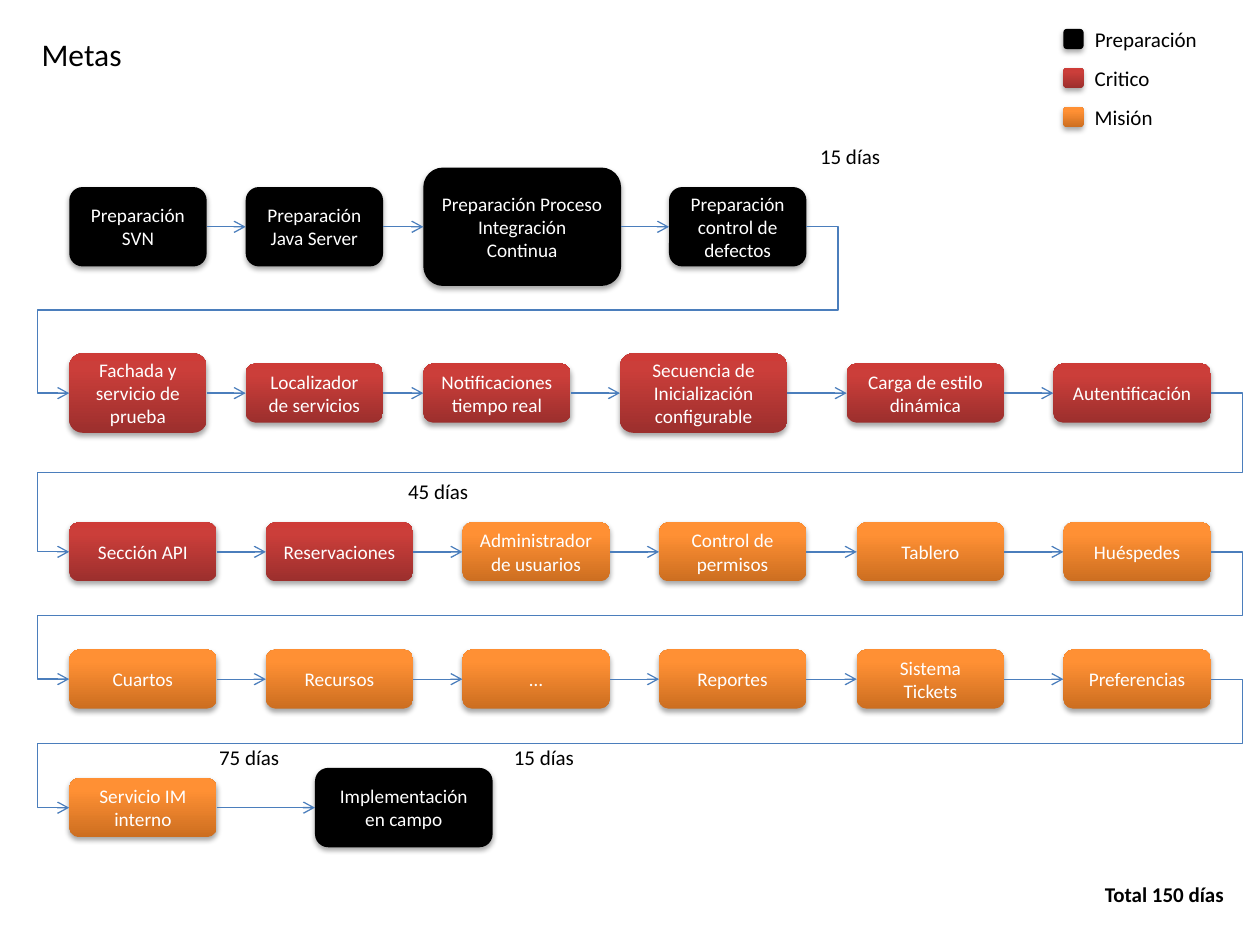
from copy import deepcopy

from lxml.etree import SubElement
from pptx import Presentation
from pptx.dml.color import RGBColor
from pptx.enum.shapes import MSO_CONNECTOR, MSO_SHAPE
from pptx.enum.text import MSO_ANCHOR, MSO_AUTO_SIZE, PP_ALIGN
from pptx.oxml.ns import qn
from pptx.util import Inches, Pt

BLACK = RGBColor(0x00, 0x00, 0x00)
WHITE = RGBColor(0xFF, 0xFF, 0xFF)
LINE_BLUE = RGBColor(0x4B, 0x7E, 0xBC)
PREPARATION = [BLACK]
CRITICAL = [RGBColor(0x9C, 0x2F, 0x2D), RGBColor(0xCB, 0x3E, 0x3A), RGBColor(0xCE, 0x3B, 0x37)]
MISSION = [RGBColor(0xCC, 0x6E, 0x20), RGBColor(0xFF, 0x90, 0x34), RGBColor(0xFF, 0x91, 0x36)]
GRADIENT_POSITIONS = [0, 0.8, 1]

GRID_LEFTS = [0.55, 2.11, 3.67, 5.23, 6.8, 8.44]


def grid_row(names, colors):
    return [(name, left, 1.17, 0.47, color) for name, left, color in zip(names, GRID_LEFTS, colors)]


ROWS = [
    (1.8, [
        ("Preparación SVN", 0.55, 1.09, 0.63, PREPARATION),
        ("Preparación Java Server", 1.95, 1.09, 0.63, PREPARATION),
        ("Preparación Proceso Integración Continua", 3.36, 1.57, 0.94, PREPARATION),
        ("Preparación control de defectos", 5.31, 1.09, 0.63, PREPARATION),
    ]),
    (3.12, [
        ("Fachada y servicio de prueba", 0.55, 1.09, 0.63, CRITICAL),
        ("Localizador de servicios", 1.95, 1.09, 0.47, CRITICAL),
        ("Notificaciones tiempo real", 3.36, 1.17, 0.47, CRITICAL),
        ("Secuencia de Inicialización configurable", 4.92, 1.33, 0.63, CRITICAL),
        ("Carga de estilo dinámica", 6.72, 1.25, 0.47, CRITICAL),
        ("Autentificación", 8.36, 1.25, 0.47, CRITICAL),
    ]),
    (4.38, grid_row(
        ["Sección API", "Reservaciones", "Administrador de usuarios",
         "Control de permisos", "Tablero", "Huéspedes"],
        [CRITICAL] * 2 + [MISSION] * 4)),
    (5.39, grid_row(
        ["Cuartos", "Recursos", "…", "Reportes", "Sistema Tickets", "Preferencias"],
        [MISSION] * 6)),
    (6.41, [
        ("Servicio IM interno", 0.55, 1.17, 0.47, MISSION),
        ("Implementación en campo", 2.5, 1.41, 0.63, PREPARATION),
    ]),
]
LEGEND = [("Preparación", 1.02, PREPARATION), ("Critico", 0.64, CRITICAL), ("Misión", 0.67, MISSION)]
DURATIONS = [("15 días", 6.41, 1.09), ("45 días", 3.14, 3.75),
             ("75 días", 1.64, 5.86), ("15 días", 3.98, 5.86)]


class GoalSlide:
    font_name = "Calibri"
    goal_size = Pt(11)
    label_size = Pt(12)
    title_size = Pt(18)
    line_width = Pt(0.75)
    overhang = Inches(0.25)

    def __init__(self, presentation):
        self.slide = presentation.slides.add_slide(presentation.slide_layouts[5])

    def set_text(self, shape, text, size, color, alignment=PP_ALIGN.LEFT, bold=False):
        shape.text_frame.text = text
        paragraph = shape.text_frame.paragraphs[0]
        paragraph.alignment = alignment
        font = paragraph.runs[0].font
        font.name, font.size, font.bold = self.font_name, size, bold
        font.color.rgb = color

    def fit(self, shape):
        shape.text_frame.word_wrap = False
        shape.text_frame.auto_size = MSO_AUTO_SIZE.SHAPE_TO_FIT_TEXT
        shape.text_frame.vertical_anchor = MSO_ANCHOR.TOP

    def title(self, text, left, top, width, height):
        shape = self.slide.shapes.title
        shape.left, shape.top = Inches(left), Inches(top)
        shape.width, shape.height = Inches(width), Inches(height)
        self.set_text(shape, text, self.title_size, BLACK)
        self.fit(shape)

    def label(self, text, left, top, width, bold=False):
        shape = self.slide.shapes.add_textbox(Inches(left), Inches(top), Inches(width), Inches(0.3))
        self.set_text(shape, text, self.label_size, BLACK, bold=bold)
        self.fit(shape)

    def box(self, left, top, width, height, colors):
        shape = self.slide.shapes.add_shape(
            MSO_SHAPE.ROUNDED_RECTANGLE, Inches(left), Inches(top), Inches(width), Inches(height))
        self.paint(shape, colors)
        shape.line.fill.background()
        self.shade(shape)
        return shape

    def paint(self, shape, colors):
        if len(colors) == 1:
            shape.fill.solid()
            shape.fill.fore_color.rgb = colors[0]
            return
        shape.fill.gradient()
        shape.fill.gradient_angle = 90
        stop_list = shape._element.spPr.find(".//" + qn("a:gsLst"))
        stop_list.append(deepcopy(stop_list[0]))
        for stop, position, color in zip(shape.fill.gradient_stops, GRADIENT_POSITIONS, colors):
            stop.position = position
            stop.color.rgb = color

    def shade(self, shape):
        shape.shadow.inherit = False
        effects = shape._element.spPr.find(qn("a:effectLst"))
        shadow = SubElement(effects, qn("a:outerShdw"), blurRad=str(Pt(3.1)), dist=str(Pt(1.8)),
                            dir="5400000", rotWithShape="0")
        color = SubElement(shadow, qn("a:srgbClr"), val=str(BLACK))
        SubElement(color, qn("a:alpha"), val="35000")

    def goal(self, text, left, middle, width, height, colors):
        shape = self.box(left, middle - height / 2, width, height, colors)
        shape.text_frame.word_wrap = True
        shape.text_frame.vertical_anchor = MSO_ANCHOR.MIDDLE
        self.set_text(shape, text, self.goal_size, WHITE, PP_ALIGN.CENTER)
        return shape

    def arrow(self, source, target):
        connector = self.slide.shapes.add_connector(MSO_CONNECTOR.ELBOW, 0, 0, 0, 0)
        connector.begin_connect(source, 3)
        connector.end_connect(target, 1)
        connector.line.color.rgb = LINE_BLUE
        connector.line.width = self.line_width
        SubElement(connector.line._get_or_add_ln(), qn("a:tailEnd"), type="arrow")
        SubElement(connector._element.spPr, qn("a:effectLst"))
        return connector

    def row_link(self, source, target):
        connector = self.arrow(source, target)
        geometry = connector._element.spPr.find(qn("a:prstGeom"))
        geometry.set("prst", "bentConnector5")
        adjustments = geometry.find(qn("a:avLst"))
        share = round(100000 * self.overhang / connector.width)
        for number, value in enumerate([-share, 50000, 100000 + share], start=1):
            SubElement(adjustments, qn("a:gd"), name=f"adj{number}", fmla=f"val {value}")


def main():
    presentation = Presentation()
    presentation.slide_width, presentation.slide_height = Inches(10), Inches(7.5)
    goals = GoalSlide(presentation)
    goals.title("Metas", 0.23, 0.23, 0.84, 0.4)

    previous_goal = None
    for middle, row in ROWS:
        shapes = [goals.goal(text, left, middle, width, height, colors)
                  for text, left, width, height, colors in row]
        for source, target in zip(shapes, shapes[1:]):
            goals.arrow(source, target)
        if previous_goal is not None:
            goals.row_link(previous_goal, shapes[0])
        previous_goal = shapes[-1]

    for index, (text, width, colors) in enumerate(LEGEND):
        top = 0.16 + 0.31 * index
        goals.box(8.44, top + 0.07, 0.16, 0.16, colors)
        goals.label(text, 8.59, top, width)

    for text, left, top in DURATIONS:
        goals.label(text, left, top, 0.69)
    goals.label("Total 150 días", 8.67, 6.95, 1.16, bold=True)
    presentation.save("out.pptx")


if __name__ == "__main__":
    main()
